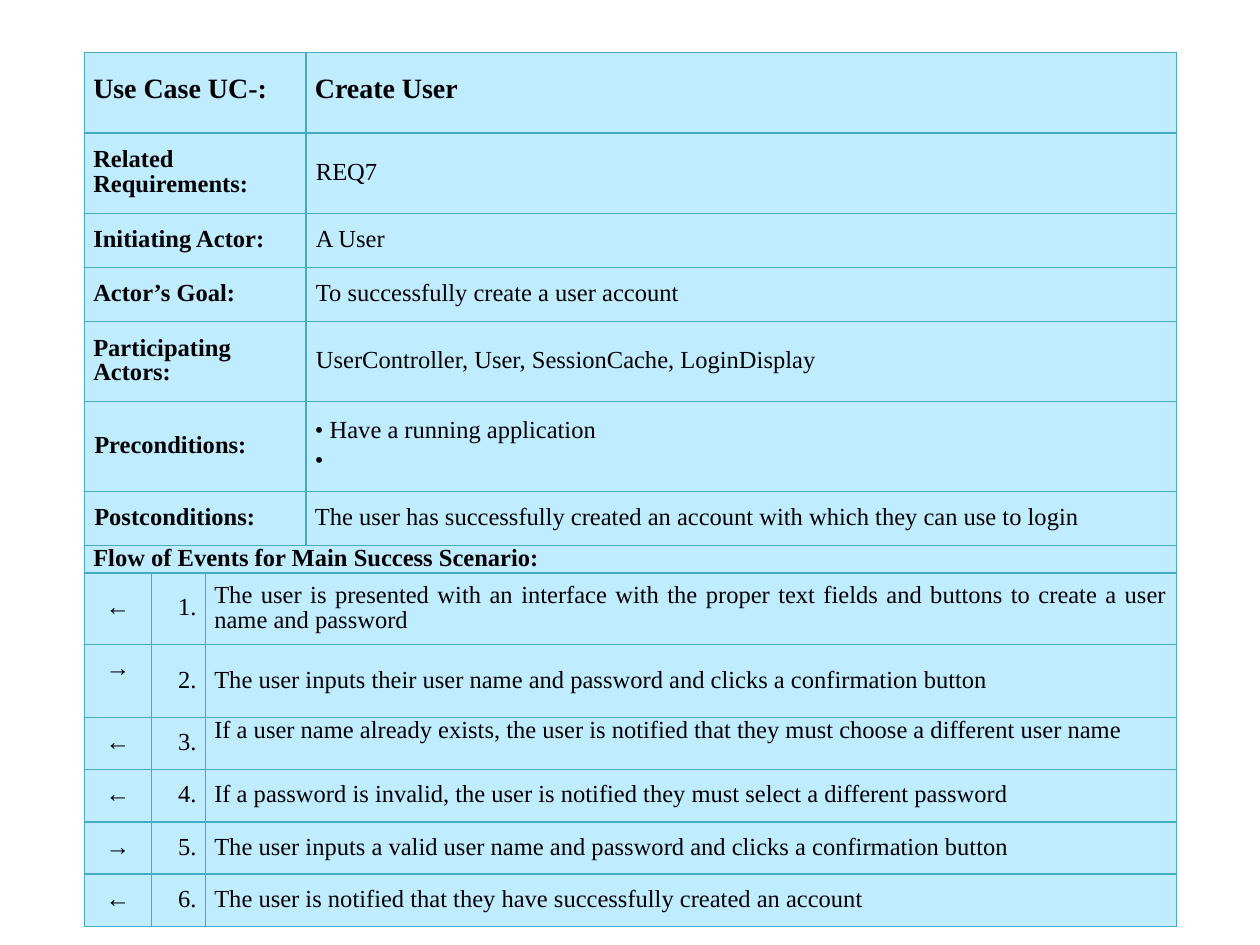
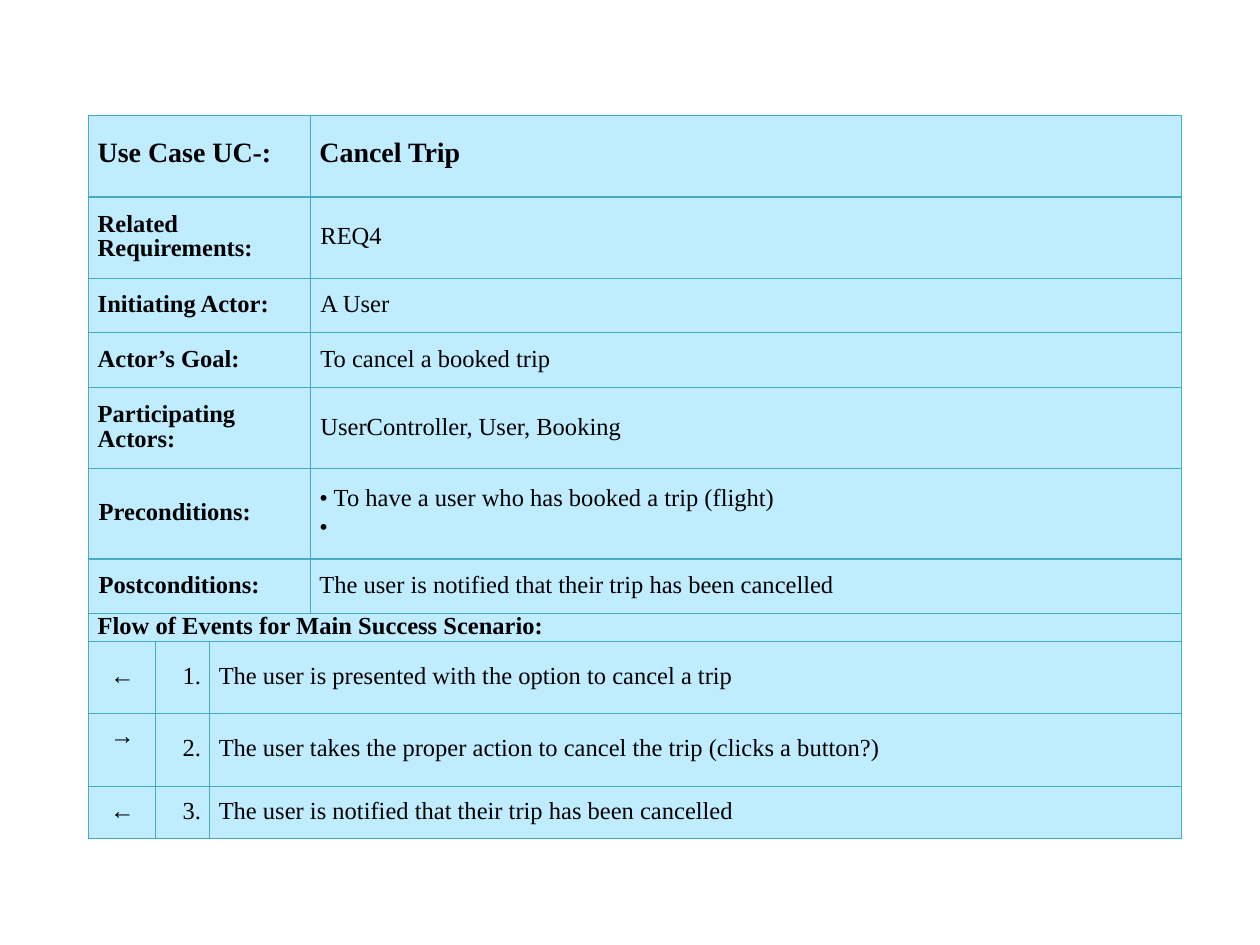
from lxml import etree
from pptx import Presentation
from pptx import util as u
from pptx.dml import color
from pptx.enum import text
from pptx.oxml import ns

INK, PALE, EDGE = "000000", "BFECFF", "46AAC5"
ALIGN = text.PP_ALIGN
EVEN, WIDE_LEFT, VALUE = (0.18, 0.18), (0.2, 0.05), (0.2, 0.1)
COLUMNS = [1.35, 1.09, 2.03, 17.55]
LABELS = ["Related Requirements:", "Initiating Actor:", "Actor’s Goal:",
          "Participating Actors:", "Preconditions:", "Postconditions:"]


def rgb(code):
    """Turn a hex string into a colour."""
    return color.RGBColor.from_string(code)


class UseCaseDeck:
    """Holds the deck, its style and the current page."""

    def __init__(self):
        """Start an empty deck of 4:3 pages."""
        self.deck = Presentation()
        self.deck.slide_width = u.Cm(25.4)
        self.deck.slide_height = u.Cm(19.05)
        self.page = None

    def add_page(self):
        """Add a blank page and make it current."""
        self.page = self.deck.slides.add_slide(self.deck.slide_layouts[6])

    def add_grid(self, left, top, heights):
        """Add an empty ruled table to the current page."""
        frame = self.page.shapes.add_table(
            len(heights), len(COLUMNS), u.Cm(left), u.Cm(top),
            u.Cm(sum(COLUMNS)), u.Cm(sum(heights)))
        table = frame.table
        table.first_row = table.horz_banding = False
        for column, width in zip(table.columns, COLUMNS):
            column.width = u.Cm(width)
        for row, height in zip(table.rows, heights):
            row.height = u.Cm(height)
        for cell in table.iter_cells():
            self.style_cell(cell)
        return table

    def style_cell(self, cell):
        """Give a cell its borders, fill and margins."""
        cell.margin_top = cell.margin_bottom = 0
        cell.vertical_anchor = text.MSO_ANCHOR.MIDDLE
        properties = cell._tc.get_or_add_tcPr()
        for side in ("lnL", "lnR", "lnT", "lnB"):
            line = etree.SubElement(properties, ns.qn("a:" + side), w=str(u.Pt(0.75)))
            fill = etree.SubElement(line, ns.qn("a:solidFill"))
            etree.SubElement(fill, ns.qn("a:srgbClr"), val=EDGE)
        cell.fill.solid()
        cell.fill.fore_color.rgb = rgb(PALE)

    def fill_cell(self, cell, lines, size=14, bold=False, align=ALIGN.JUSTIFY,
                  before=0, sides=EVEN, lift=0):
        """Put lines into a cell, one paragraph each."""
        cell.margin_left, cell.margin_right = map(u.Cm, sides)
        cell.margin_bottom = u.Pt(lift)
        box = cell.text_frame
        for index, line in enumerate(lines):
            para = box.add_paragraph() if index else box.paragraphs[0]
            para.alignment = align
            para.line_spacing = u.Pt(14)
            para.space_before = u.Pt(before)
            span = para.add_run()
            span.text = line
            span.font.name = "Times New Roman"
            span.font.size = u.Pt(size)
            span.font.bold = bold
            span.font.color.rgb = rgb(INK)

    def add_field(self, table, row, label, lines, label_style, value_style):
        """Fill a row that pairs a label with its value."""
        table.cell(row, 0).merge(table.cell(row, 2))
        self.fill_cell(table.cell(row, 0), [label], bold=True, **label_style)
        self.fill_cell(table.cell(row, 3), lines, **value_style)

    def add_step(self, table, row, number, arrow, step, arrow_lift, step_lift):
        """Fill a row that holds one numbered event."""
        table.cell(row, 2).merge(table.cell(row, 3))
        self.fill_cell(table.cell(row, 0), [arrow], align=ALIGN.CENTER, lift=arrow_lift)
        self.fill_cell(table.cell(row, 1), [f"{number}."], align=ALIGN.RIGHT)
        self.fill_cell(table.cell(row, 2), [step], lift=step_lift)

    def add_use_case(self, left, top, tall, short, listed, name, values, steps,
                     raised_step=None):
        """Add a page with the table of one use case."""
        self.add_page()
        heights = [tall, tall, short, short, tall, listed, short, 0.56, 1.45, 1.47]
        heights += [1.05] * (len(steps) - 2)
        table = self.add_grid(left, top, heights)

        heading = dict(size=16, align=ALIGN.LEFT, before=6)
        self.add_field(table, 0, "Use Case UC-:", [name], heading,
                       dict(heading, bold=True))
        for row, (label, lines) in enumerate(zip(LABELS, values), 1):
            condition = label.endswith("conditions:")
            self.add_field(
                table, row, label, lines,
                dict(before=3, sides=WIDE_LEFT if condition else EVEN),
                dict(before=3, sides=EVEN if condition else VALUE))

        flow = len(LABELS) + 1
        table.cell(flow, 0).merge(table.cell(flow, 3))
        self.fill_cell(table.cell(flow, 0),
                       ["Flow of Events for Main Success Scenario:"],
                       bold=True, before=4)
        for number, (arrow, step) in enumerate(steps, 1):
            self.add_step(table, flow + number, number, arrow, step,
                          14 if number == 2 else 0,
                          14 if number == raised_step else 0)


cases = UseCaseDeck()
cases.add_use_case(
    1.7, 1.06, 1.62, 1.09, 1.8, "Create User",
    [["REQ7"], ["A User"], ["To successfully create a user account"],
     ["UserController, User, SessionCache, LoginDisplay"],
     ["• Have a running application", "•"],
     ["The user has successfully created an account with which they can use to login"]],
    [("←", "The user is presented with an interface with the proper text fields "
           "and buttons to create a user name and password"),
     ("→", "The user inputs their user name and password and clicks a confirmation button"),
     ("←", "If a user name already exists, the user is notified that they must "
           "choose a different user name"),
     ("←", "If a password is invalid, the user is notified they must select "
           "a different password"),
     ("→", "The user inputs a valid user name and password and clicks "
           "a confirmation button"),
     ("←", "The user is notified that they have successfully created an account")],
    raised_step=3)
cases.add_use_case(
    1.79, 2.33, 1.64, 1.1, 1.82, "Cancel Trip",
    [["REQ4"], ["A User"], ["To cancel a booked trip"],
     ["UserController, User, Booking"],
     ["• To have a user who has booked a trip (flight)", "•"],
     ["The user is notified that their trip has been cancelled"]],
    [("←", "The user is presented with the option to cancel a trip"),
     ("→", "The user takes the proper action to cancel the trip (clicks a button?)"),
     ("←", "The user is notified that their trip has been cancelled")])
cases.deck.save("out.pptx")
